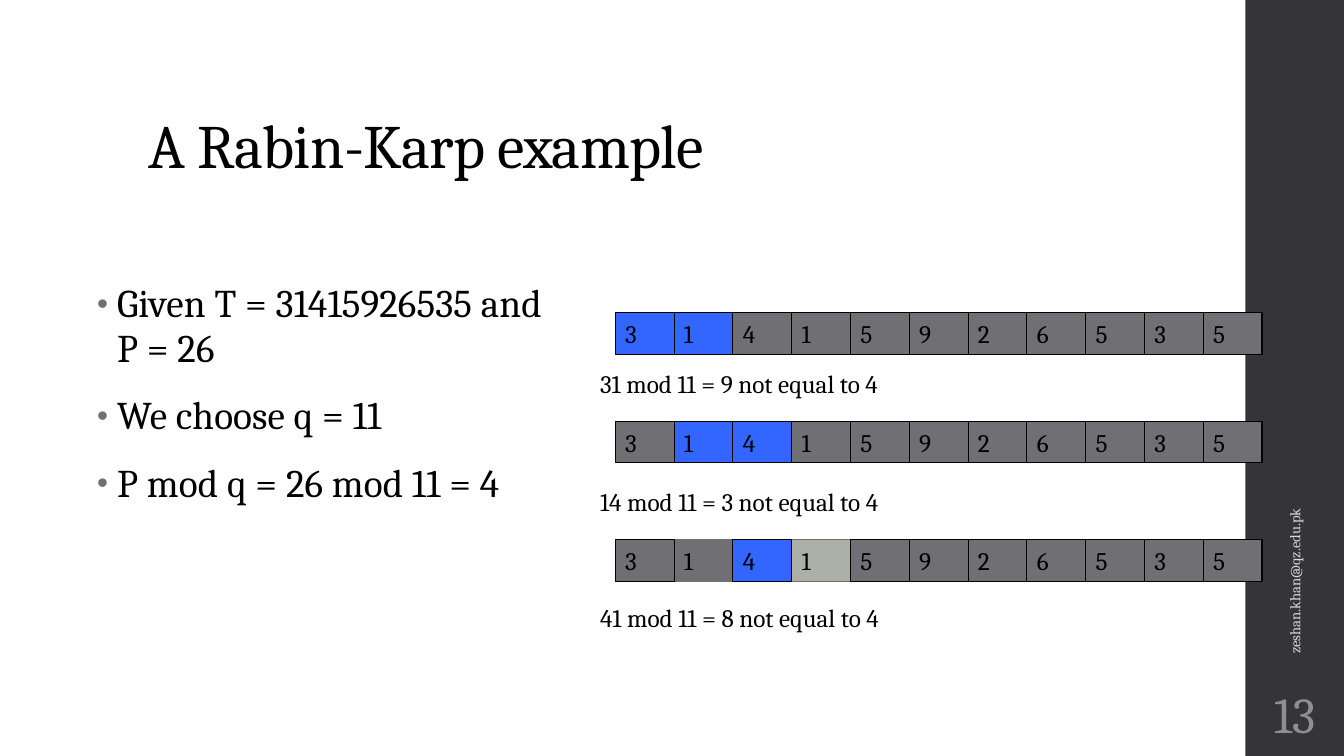
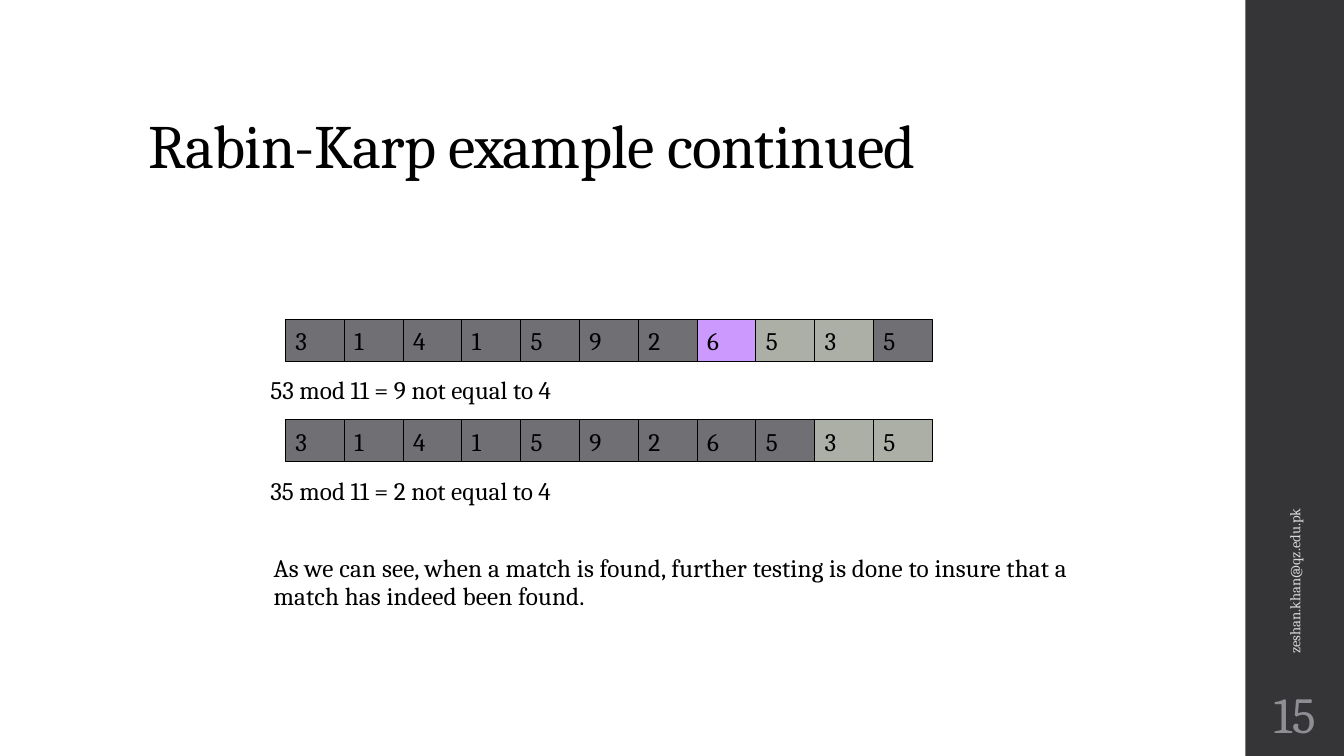
from dataclasses import dataclass

from lxml.etree import SubElement
from pptx import Presentation
from pptx.dml.color import RGBColor
from pptx.enum.shapes import MSO_SHAPE
from pptx.enum.text import MSO_ANCHOR, MSO_AUTO_SIZE, PP_ALIGN
from pptx.oxml.ns import qn
from pptx.util import Pt

EMU_PER_PX = 9525
SLIDE_SIZE = 1280, 720
FONT = "Cambria"
COLOURS = {
    "ink": "000000",
    "band": "353537",
    "footer": "D9D9DB",
    "number": "8E8E94",
    "grey": "6F6F74",
    "blue": "3366FF",
    "sage": "ABAFA5",
    "violet": "CC99FF",
}

TITLE_BOX = 132, 38, 1018, 140
BAND_BOX = 1186, 0, 94, 720
FOOTER_BOX = 1045, 425, 376, 38
NUMBER_BOX = 1186, 648, 94, 62
FOOTER = "zeshan.khan@qz.edu.pk"

DIGITS = "31415926535"
CELL_WIDTH, CELL_HEIGHT = 56, 40
CAPTION_OUTDENT = 24
CAPTION_WIDTH, CAPTION_HEIGHT = 621, 38
INDENT = 19


@dataclass
class DigitRow:
    top: int
    caption_gap: int
    caption: str
    fills: dict
    grey_edged: tuple = ()


def px(length):
    return round(length * EMU_PER_PX)


def rgb(name):
    return RGBColor.from_string(COLOURS[name])


def place(shape, box):
    shape.left, shape.top, shape.width, shape.height = map(px, box)


def add_run(paragraph, text, size, colour="ink", spacing=0):
    """Add a run; spacing is in hundredths of a point."""
    run = paragraph.add_run()
    run.text = text
    run.font.name = FONT
    run.font.size = Pt(size)
    run.font.color.rgb = rgb(colour)
    if spacing:
        run.font._element.set("spc", str(spacing))


def add_label(slide, box, text, size, colour="ink", anchor=MSO_ANCHOR.TOP):
    label = slide.shapes.add_textbox(*map(px, box))
    frame = label.text_frame
    frame.word_wrap = True
    frame.vertical_anchor = anchor
    add_run(frame.paragraphs[0], text, size, colour)
    return label


def add_rect(slide, box, fill):
    rect = slide.shapes.add_shape(MSO_SHAPE.RECTANGLE, *map(px, box))
    rect.shadow.inherit = False
    rect.fill.solid()
    rect.fill.fore_color.rgb = rgb(fill)
    rect.line.fill.background()
    return rect


def add_side_band(slide, number):
    add_rect(slide, BAND_BOX, "band")
    footer = add_label(slide, FOOTER_BOX, FOOTER, 10.5, "footer", MSO_ANCHOR.MIDDLE)
    footer.rotation = 270
    page = add_label(slide, NUMBER_BOX, str(number), 36, "number", MSO_ANCHOR.MIDDLE)
    frame = page.text_frame
    frame.margin_left = frame.margin_right = px(5)
    frame.margin_top = frame.margin_bottom = px(5)
    frame.paragraphs[0].alignment = PP_ALIGN.CENTER


def fill_title(slide, text):
    title = slide.shapes.title
    place(title, TITLE_BOX)
    frame = title.text_frame
    frame.auto_size = MSO_AUTO_SIZE.NONE
    frame.vertical_anchor = MSO_ANCHOR.BOTTOM
    paragraph = frame.paragraphs[0]
    paragraph.alignment = PP_ALIGN.LEFT
    paragraph.line_spacing = 0.9
    add_run(paragraph, text, 44, spacing=-50)


def set_bullet(paragraph, bulleted):
    properties = paragraph._p.get_or_add_pPr()
    properties.set("marL", str(px(INDENT)))
    properties.set("indent", str(px(-INDENT if bulleted else 0)))
    if not bulleted:
        SubElement(properties, qn("a:buNone"))
        return
    colour = SubElement(properties, qn("a:buClr"))
    SubElement(colour, qn("a:srgbClr"), val=COLOURS["grey"])
    SubElement(properties, qn("a:buSzPct"), val="80000")
    SubElement(properties, qn("a:buFont"), typeface="Arial")
    SubElement(properties, qn("a:buChar"), char="•")


def fill_body(slide, box, lines, size, bulleted):
    body = slide.placeholders[1]
    place(body, box)
    frame = body.text_frame
    frame.auto_size = MSO_AUTO_SIZE.NONE
    for index, line in enumerate(lines):
        paragraph = frame.add_paragraph() if index else frame.paragraphs[0]
        paragraph.line_spacing = 0.95
        paragraph.space_before = Pt(14)
        paragraph.space_after = Pt(2)
        set_bullet(paragraph, bulleted)
        add_run(paragraph, line, size, spacing=10)


def add_digit_row(slide, left, row):
    """Draw the digits and their caption, black-edged cells on top."""
    order = sorted(range(len(DIGITS)), key=lambda i: i not in row.grey_edged)
    for index in order:
        box = left + index * CELL_WIDTH, row.top, CELL_WIDTH, CELL_HEIGHT
        cell = add_rect(slide, box, row.fills.get(index, "grey"))
        cell.line.color.rgb = rgb("grey" if index in row.grey_edged else "ink")
        cell.line.width = Pt(0.75)
        frame = cell.text_frame
        frame.word_wrap = False
        frame.vertical_anchor = MSO_ANCHOR.MIDDLE
        frame.paragraphs[0].alignment = PP_ALIGN.LEFT
        add_run(frame.paragraphs[0], DIGITS[index], 18)
    caption_box = (left - CAPTION_OUTDENT, row.top + row.caption_gap,
                   CAPTION_WIDTH, CAPTION_HEIGHT)
    add_label(slide, caption_box, row.caption, 18)


def add_example_slide(deck, number, title, body_box, lines, size, bulleted,
                      rows_left, rows):
    slide = deck.slides.add_slide(deck.slide_layouts[1])
    fill_title(slide, title)
    fill_body(slide, body_box, lines, size, bulleted)
    add_side_band(slide, number)
    for row in rows:
        add_digit_row(slide, rows_left, row)


def main():
    deck = Presentation()
    deck.slide_width, deck.slide_height = map(px, SLIDE_SIZE)
    add_example_slide(
        deck, 13, "A Rabin-Karp example", (83, 264, 467, 345),
        ["Given T = 31415926535 and P = 26", "We choose q = 11",
         "P mod q = 26 mod 11 = 4"],
        28, True, 586,
        [DigitRow(298, 48, "31 mod 11 = 9 not equal to 4", {0: "blue", 1: "blue"}),
         DigitRow(401, 57, "14 mod 11 = 3 not equal to 4", {1: "blue", 2: "blue"}),
         DigitRow(514, 55, "41 mod 11 = 8 not equal to 4", {2: "blue", 3: "sage"},
                  grey_edged=(1, 3))])
    add_example_slide(
        deck, 15, "Rabin-Karp example continued", (232, 523, 816, 117),
        ["As we can see, when a match is found, further testing is done "
         "to insure that a match has indeed been found."],
        18, False, 272,
        [DigitRow(304, 48, "53 mod 11 = 9 not equal to 4",
                  {7: "violet", 8: "sage", 9: "sage"}),
         DigitRow(400, 48, "35 mod 11 = 2 not equal to 4", {9: "sage", 10: "sage"})])
    deck.save("out.pptx")


if __name__ == "__main__":
    main()
